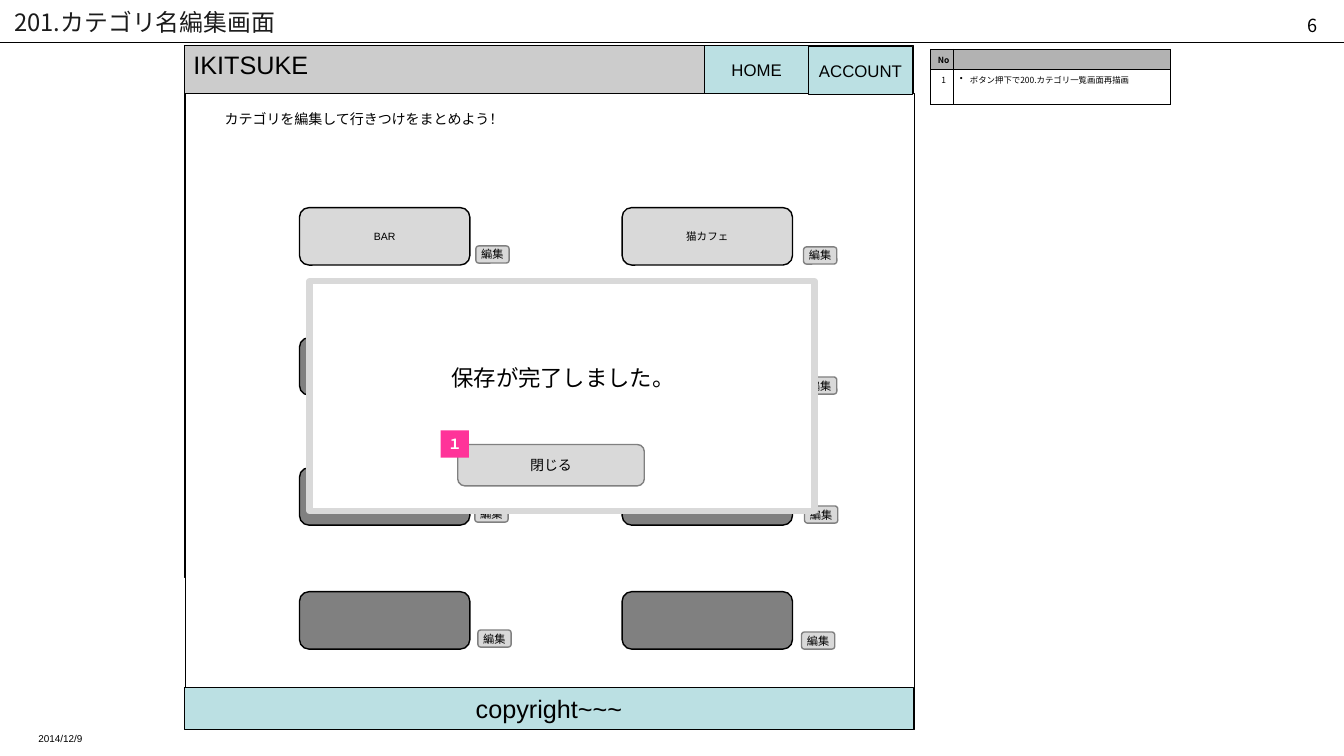
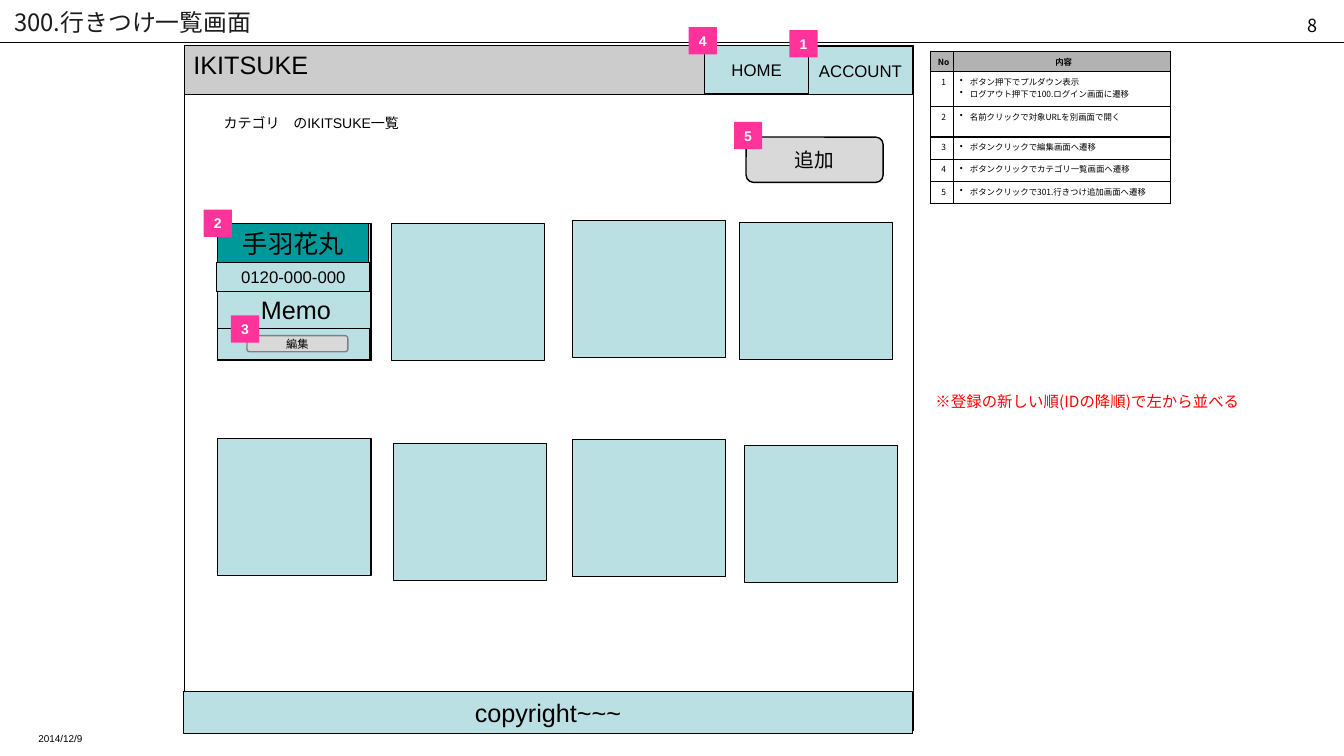
from dataclasses import dataclass

import pptx
import pptx.dml.color
import pptx.enum.shapes
import pptx.enum.text
import pptx.oxml.ns
import pptx.util
from lxml import etree

Inches = pptx.util.Inches
Pt = pptx.util.Pt
qn = pptx.oxml.ns.qn
ALIGN = pptx.enum.text.PP_ALIGN
ANCHOR = pptx.enum.text.MSO_ANCHOR
SHAPE = pptx.enum.shapes.MSO_SHAPE


@dataclass(frozen=True)
class Theme:
    latin: str = "Arial"
    japanese: str = "Noto Sans CJK JP"
    black: str = "000000"
    white: str = "FFFFFF"
    title: str = "1C1C1C"
    banner: str = "CCCCCC"
    table_head: str = "B2B2B2"
    button: str = "D9D9D9"
    gray: str = "808080"
    pale: str = "BBE0E3"
    teal: str = "009999"
    badge: str = "FF3399"
    note: str = "FF0000"
    title_size: float = 17
    page_size: float = 12.9
    large_size: float = 18
    message_size: float = 16
    add_size: float = 14
    nav_size: float = 12
    note_size: float = 11
    body_size: float = 10
    edit_size: float = 8
    category_size: float = 7.5
    date_size: float = 7.1
    table_size: float = 6


THEME = Theme()
TITLE_INSETS = (0.14, 0.07, 0.14, 0.07)
EDIT_INSETS = (0.04, 0.05, 0.04, 0.05)
CELL_INSETS = (0.06, 0.04, 0.03, 0.04)

SAVED = {
    "title": "201.カテゴリ名編集画面",
    "page": "6",
    "body": (1.84, 0.93),
    "footer": (1.83, 6.82),
    "lead": ("カテゴリを編集して行きつけをまとめよう！", (2.13, 1.05, 3.15, 0.27)),
    "table_top": 0.49,
    "row_heights": [0.18, 0.35],
    "rows": [("No", [""]), ("1", ["ボタン押下で200.カテゴリ一覧画面再描画"])],
    "badges": [("１", 4.37, 4.27)],
}
FAVORITES = {
    "title": "300.行きつけ一覧画面",
    "page": "8",
    "body": (1.83, 0.94),
    "footer": (1.82, 6.86),
    "lead": ("カテゴリ　のIKITSUKE一覧", (2.12, 1.09, 3.15, 0.27)),
    "table_top": 0.51,
    "row_heights": [0.18, 0.35, 0.3, 0.22, 0.22, 0.22],
    "rows": [
        ("No", ["内容"]),
        ("1", ["ボタン押下でプルダウン表示", "ログアウト押下で100.ログイン画面に遷移"]),
        ("2", ["名前クリックで対象URLを別画面で開く"]),
        ("3", ["ボタンクリックで編集画面へ遷移"]),
        ("4", ["ボタンクリックでカテゴリ一覧画面へ遷移"]),
        ("5", ["ボタンクリックで301.行きつけ追加画面へ遷移"]),
    ],
    "badges": [("2", 2.02, 2.08), ("3", 2.29, 3.13), ("5", 7.28, 1.21),
               ("4", 6.83, 0.27), ("1", 7.83, 0.3)],
}
CATEGORY_COLUMNS = (2.97, 6.17)
CATEGORY_ROWS = [(2.06, ("BAR", "猫カフェ")), (3.35, ("",)),
                 (4.64, ("", "")), (5.87, ("", ""))]
EDIT_BUTTONS = [(4.72, 2.44), (4.71, 5.01), (4.74, 6.25),
                (7.97, 2.45), (7.97, 3.74), (7.98, 5.02), (7.95, 6.27)]
CARDS = [(2.16, 2.22), (3.88, 2.22), (5.68, 2.19), (7.33, 2.21),
         (2.16, 4.35), (3.9, 4.4), (5.68, 4.36), (7.38, 4.42)]
NAVIGATION = [("ACCOUNT", 8.02, 0.46), ("HOME", 6.99, 0.45)]


def rgb(color):
    return pptx.dml.color.RGBColor.from_string(color)


def style_paragraph(paragraph, size, color=THEME.black, font=THEME.latin,
                    bold=False, align=ALIGN.LEFT):
    paragraph.alignment = align
    paragraph.font.size = Pt(size)
    paragraph.font.bold = bold
    paragraph.font.color.rgb = rgb(color)
    paragraph.font.name = font
    default_run = paragraph._p.pPr.find(qn("a:defRPr"))
    etree.SubElement(default_run, qn("a:ea"), typeface=THEME.japanese)
    if not paragraph.text:
        etree.SubElement(paragraph._p, qn("a:endParaRPr"), sz=str(int(size * 100)))


def fill_text(frame, text, size, insets=None, wrap=True, anchor=ANCHOR.TOP, **style):
    frame.text = text
    frame.word_wrap = wrap
    frame.auto_size = pptx.enum.text.MSO_AUTO_SIZE.NONE
    frame.vertical_anchor = anchor
    if insets:
        (frame.margin_left, frame.margin_top,
         frame.margin_right, frame.margin_bottom) = map(Inches, insets)
    style_paragraph(frame.paragraphs[0], size, **style)


def add_label(slide, text, box, size, **style):
    label = slide.shapes.add_textbox(*map(Inches, box))
    fill_text(label.text_frame, text, size, **style)


def add_box(slide, box, fill, line=THEME.black, width=0.75, rounded=False,
            text="", size=THEME.body_size, **style):
    kind = SHAPE.ROUNDED_RECTANGLE if rounded else SHAPE.RECTANGLE
    shape = slide.shapes.add_shape(kind, *map(Inches, box))
    shape.shadow.inherit = False
    shape.fill.solid()
    shape.fill.fore_color.rgb = rgb(fill)
    if line:
        shape.line.color.rgb = rgb(line)
        shape.line.width = Pt(width)
    else:
        shape.line.fill.background()
    if text:
        fill_text(shape.text_frame, text, size, anchor=ANCHOR.MIDDLE,
                  align=ALIGN.CENTER, **style)


def add_edit_button(slide, box):
    add_box(slide, box, THEME.button, THEME.gray, 1, rounded=True, text="編集",
            size=THEME.edit_size, insets=EDIT_INSETS, wrap=False)


def add_badges(slide, badges):
    for number, left, top in badges:
        add_box(slide, (left, top, 0.28, 0.27), THEME.badge, None, text=number,
                wrap=False, color=THEME.white, bold=True)


def format_cell(cell, texts, fill, bold, bulleted):
    properties = cell._tc.get_or_add_tcPr()
    for side in ("a:lnL", "a:lnR", "a:lnT", "a:lnB"):
        border = etree.SubElement(properties, qn(side), w=str(Pt(1)))
        solid = etree.SubElement(border, qn("a:solidFill"))
        etree.SubElement(solid, qn("a:srgbClr"), val=THEME.black)
    cell.fill.solid()
    cell.fill.fore_color.rgb = rgb(fill)
    (cell.margin_left, cell.margin_top,
     cell.margin_right, cell.margin_bottom) = map(Inches, CELL_INSETS)
    cell.text = "\n".join(texts)
    for paragraph in cell.text_frame.paragraphs:
        if bulleted:
            paragraph_properties = paragraph._p.get_or_add_pPr()
            paragraph_properties.set("marL", str(Inches(0.1)))
            paragraph_properties.set("indent", str(Inches(-0.1)))
            etree.SubElement(paragraph_properties, qn("a:buChar"), char="•")
        else:
            paragraph.space_before = Pt(1.2)
        style_paragraph(paragraph, THEME.table_size, font=THEME.japanese, bold=bold,
                        align=ALIGN.LEFT if bulleted else ALIGN.CENTER)


def add_notes_table(slide, top, rows, heights):
    widths = (0.23, 2.15)
    box = (9.23, top, sum(widths), sum(heights))
    table = slide.shapes.add_table(len(rows), len(widths), *map(Inches, box)).table
    for column, width in zip(table.columns, widths):
        column.width = Inches(width)
    for index, ((number, texts), height) in enumerate(zip(rows, heights)):
        table.rows[index].height = Inches(height)
        head = index == 0
        fill = THEME.table_head if head else THEME.white
        format_cell(table.cell(index, 0), [number], fill, head, False)
        format_cell(table.cell(index, 1), texts, fill, head, not head)


def add_layout_rule(layout, slide):
    rule = slide.shapes.add_connector(
        pptx.enum.shapes.MSO_CONNECTOR.STRAIGHT,
        Inches(0), Inches(0.42), Inches(13.33), Inches(0.42))
    rule.line.color.rgb = rgb(THEME.black)
    rule.line.width = Pt(0.75)
    etree.SubElement(rule.element.spPr, qn("a:effectLst"))
    layout.shapes.element.append(rule.element)


def add_screen(presentation, layout, content):
    slide = presentation.slides.add_slide(layout)
    title = slide.shapes.title
    title.left, title.top, title.width, title.height = map(Inches, (0, 0.04, 12, 0.35))
    fill_text(title.text_frame, content["title"], THEME.title_size, insets=TITLE_INSETS,
              anchor=ANCHOR.MIDDLE, color=THEME.title, font=THEME.japanese)
    add_label(slide, content["page"], (10.06, 0.09, 3.11, 0.15), THEME.page_size,
              font=THEME.japanese, align=ALIGN.RIGHT)
    add_label(slide, "2014/12/9", (0.24, 7.2, 3.11, 0.15), THEME.date_size,
              insets=TITLE_INSETS)
    add_box(slide, (1.83, 0.45, 7.23, 5.28), THEME.banner, width=1)
    add_box(slide, (*content["body"], 7.23, 6.31), THEME.white, width=1)
    add_label(slide, "IKITSUKE", (1.82, 0.44, 2.17, 0.4), THEME.large_size)
    for text, left, top in NAVIGATION:
        add_box(slide, (left, top, 1.03, 0.48), THEME.pale, text=text,
                size=THEME.nav_size, wrap=False)
    add_box(slide, (*content["footer"], 7.23, 0.42), THEME.pale, text="copyright~~~",
            size=THEME.large_size, wrap=False)
    add_label(slide, *content["lead"], THEME.body_size)
    add_notes_table(slide, content["table_top"], content["rows"], content["row_heights"])
    return slide


def add_saved_dialog(slide):
    for top, names in CATEGORY_ROWS:
        for left, name in zip(CATEGORY_COLUMNS, names):
            add_box(slide, (left, top, 1.69, 0.57), THEME.button if name else THEME.gray,
                    width=1, rounded=True, text=name, size=THEME.category_size)
    for left, top in EDIT_BUTTONS:
        add_edit_button(slide, (left, top, 0.33, 0.17))
    add_box(slide, (3.07, 2.79, 5.01, 2.28), THEME.white, THEME.button, 4.5)
    add_box(slide, (4.54, 4.41, 1.85, 0.41), THEME.button, THEME.gray, 1,
            rounded=True, text="閉じる")
    add_box(slide, (3.43, 3.26, 4.31, 0.98), THEME.white, None, text="保存が完了しました。",
            size=THEME.message_size, font=THEME.japanese)


def add_favorite_cards(slide):
    for left, top in CARDS:
        add_box(slide, (left, top, 1.52, 1.36), THEME.pale)
    add_box(slide, (2.16, 2.22, 1.5, 0.39), THEME.teal, text="手羽花丸",
            size=THEME.large_size, wrap=False)
    add_box(slide, (2.15, 2.6, 1.52, 0.29), THEME.pale, text="0120-000-000",
            size=THEME.nav_size, wrap=False)
    add_box(slide, (2.16, 3.26, 1.51, 0.31), THEME.pale)
    add_edit_button(slide, (2.45, 3.33, 1, 0.16))
    add_label(slide, "Memo", (2.49, 2.87, 0.93, 0.4), THEME.large_size)
    add_box(slide, (7.4, 1.36, 1.36, 0.45), THEME.button, width=1, rounded=True,
            text="追加", size=THEME.add_size)
    add_label(slide, "※登録の新しい順(IDの降順)で左から並べる", (9.18, 3.84, 3.97, 0.28),
              THEME.note_size, color=THEME.note, font=THEME.japanese)


def main():
    presentation = pptx.Presentation()
    presentation.slide_width = Inches(13.33)
    presentation.slide_height = Inches(7.5)
    layout = presentation.slide_layouts[5]
    saved = add_screen(presentation, layout, SAVED)
    add_layout_rule(layout, saved)
    add_saved_dialog(saved)
    add_badges(saved, SAVED["badges"])
    favorites = add_screen(presentation, layout, FAVORITES)
    add_favorite_cards(favorites)
    add_badges(favorites, FAVORITES["badges"])
    presentation.save("out.pptx")


if __name__ == "__main__":
    main()
